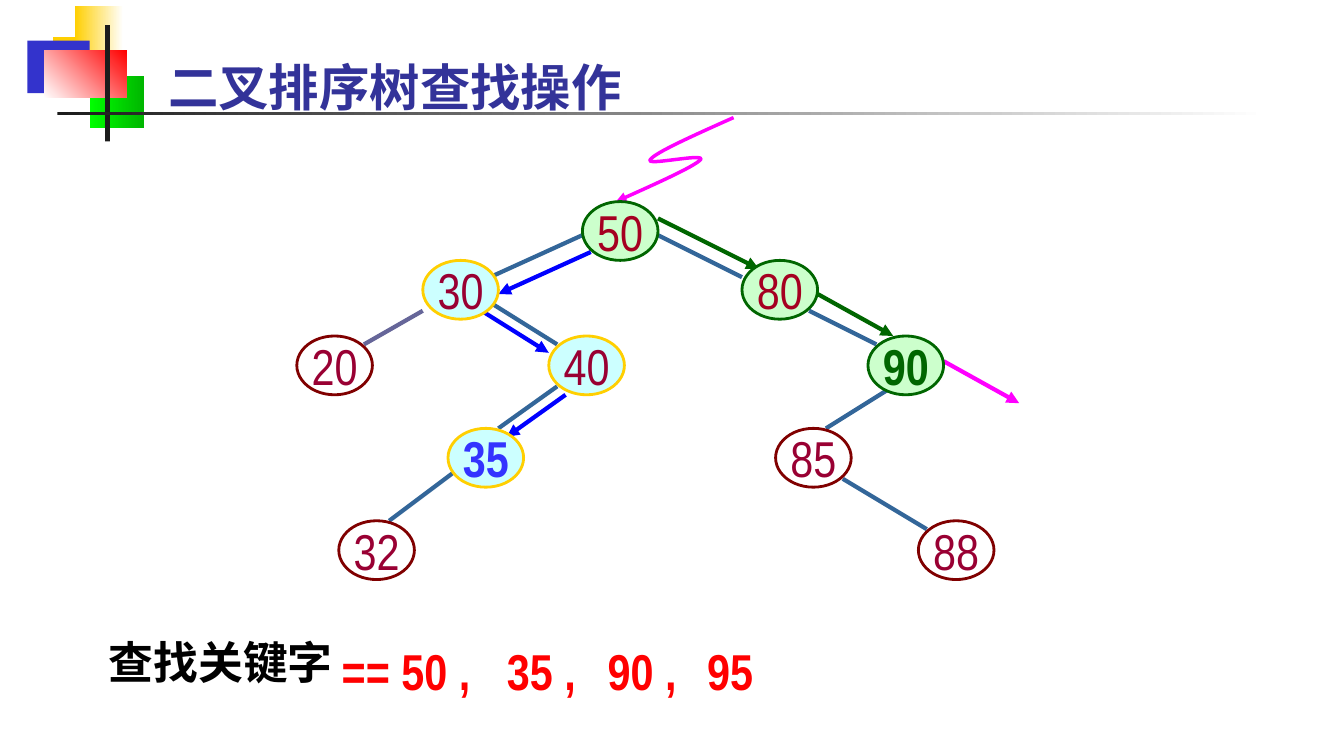
from lxml.etree import SubElement
from pptx import Presentation
from pptx.dml.color import RGBColor
from pptx.enum.shapes import MSO_CONNECTOR, MSO_SHAPE
from pptx.enum.text import MSO_ANCHOR, MSO_AUTO_SIZE, PP_ALIGN
from pptx.oxml.ns import qn
from pptx.util import Pt

LATIN_FONT = "Arial Narrow"
CJK_FONT = "Noto Sans CJK SC"
NODE_WIDTH, NODE_HEIGHT = 54, 42

WHITE = RGBColor(0xFF, 0xFF, 0xFF)
BLACK = RGBColor(0x00, 0x00, 0x00)
CHARCOAL = RGBColor(0x1C, 0x1C, 0x1C)
GOLD = RGBColor(0xFF, 0xCF, 0x01)
ROYAL_BLUE = RGBColor(0x33, 0x33, 0xCC)
LIME = RGBColor(0x00, 0xFF, 0x00)
GREEN = RGBColor(0x00, 0xB6, 0x00)
RED = RGBColor(0xFF, 0x00, 0x00)
TITLE_BLUE = RGBColor(0x33, 0x33, 0x99)
STEEL = RGBColor(0x33, 0x66, 0x99)
SLATE = RGBColor(0x66, 0x66, 0x99)
BLUE = RGBColor(0x00, 0x00, 0xFF)
DARK_GREEN = RGBColor(0x00, 0x66, 0x00)
MAGENTA = RGBColor(0xFF, 0x00, 0xFF)
MAROON = RGBColor(0x80, 0x00, 0x00)
WINE = RGBColor(0x99, 0x00, 0x33)
BRICK = RGBColor(0xA5, 0x00, 0x21)
KEY_BLUE = RGBColor(0x33, 0x33, 0xFF)
PALE_CYAN = RGBColor(0xCC, 0xFF, 0xFF)
PALE_GREEN = RGBColor(0xCC, 0xFF, 0xCC)

# Node styles: fill, outline, text colour, bold
PLAIN = (None, MAROON, WINE, False)
LEFT_PATH = (PALE_CYAN, GOLD, WINE, False)
LEFT_FOUND = (PALE_CYAN, GOLD, KEY_BLUE, True)
RIGHT_PATH = (PALE_GREEN, DARK_GREEN, BRICK, False)
RIGHT_FOUND = (PALE_GREEN, DARK_GREEN, DARK_GREEN, True)

# Left, top, width, height, colours (two make a gradient), angle
ORNAMENTS = [
    (38, 26.5, 46, 37.5, [GOLD], 0),
    (53.5, 4.5, 34.5, 37.5, [GOLD, WHITE], 0),
    (19.5, 29, 44.5, 37.5, [ROYAL_BLUE], 0),
    (64, 54, 39, 37.5, [LIME, GREEN], 0),
    (31.5, 36, 59, 33.5, [WHITE, RED], 45),
    (75, 18, 3.5, 83, [CHARCOAL], 0),
    (41, 80, 864, 2.5, [CHARCOAL, WHITE], 0),
]
NODES = [
    ("20", 212, 240, PLAIN), ("85", 554, 306, PLAIN),
    ("88", 656, 372, PLAIN), ("32", 242, 372, PLAIN),
    ("30", 302, 186, LEFT_PATH), ("40", 392, 240, LEFT_PATH),
    ("35", 320, 306, LEFT_FOUND), ("50", 416, 144, RIGHT_PATH),
    ("80", 530, 186, RIGHT_PATH), ("90", 620, 240, RIGHT_FOUND),
]
EDGES = [
    (416, 168, 350, 198, STEEL), (302, 222, 260, 246, SLATE),
    (470, 168, 530, 198, STEEL), (350, 216, 398, 246, STEEL),
    (398, 276, 356, 306, STEEL), (578, 222, 626, 246, STEEL),
    (638, 276, 590, 306, STEEL), (602, 342, 662, 378, STEEL),
    (326, 336, 278, 372, STEEL),
]
SEARCH_STEPS = [
    (422, 180, 356, 210, BLUE), (344, 222, 392, 252, BLUE),
    (404, 282, 362, 312, BLUE), (470, 156, 542, 192, DARK_GREEN),
    (584, 210, 638, 240, DARK_GREEN), (674, 258, 728, 288, MAGENTA),
]
# Bezier pieces of the curve that enters the root
ENTRY_CURVE = [
    [(524, 84), (496, 96.5), (468, 109), (464.5, 114)],
    [(464.5, 114), (460, 119), (504, 109), (500.5, 114)],
    [(500.5, 114), (496, 119), (468, 131.5), (440, 144)],
]
SEARCH_KEYS = [("== 50 ,", 237, 107), ("35 ,", 355, 64),
               ("90 ,", 427, 64), ("95", 498, 48)]


def add_ornament(page, left, top, width, height, colours, angle):
    block = page.shapes.add_shape(MSO_SHAPE.RECTANGLE, Pt(left), Pt(top),
                                  Pt(width), Pt(height))
    block.shadow.inherit = False
    block.line.fill.background()
    if len(colours) == 1:
        block.fill.solid()
        block.fill.fore_color.rgb = colours[0]
        return
    block.fill.gradient()
    block.fill.gradient_angle = angle
    for stop, colour in zip(block.fill.gradient_stops, colours):
        stop.color.rgb = colour


def write(frame, text, size, colour, bold, font=LATIN_FONT):
    para = frame.paragraphs[0]
    span = para.add_run()
    span.text = text
    para.font.name = font
    para.font.size = Pt(size)
    para.font.bold = bold
    para.font.color.rgb = colour
    # East Asian face
    SubElement(span.font._element, qn("a:ea"), typeface=CJK_FONT)
    return para


def add_node(page, key, left, top, style):
    fill, outline, colour, bold = style
    node = page.shapes.add_shape(MSO_SHAPE.OVAL, Pt(left), Pt(top),
                                 Pt(NODE_WIDTH), Pt(NODE_HEIGHT))
    node.shadow.inherit = False
    if fill is None:
        node.fill.background()
    else:
        node.fill.solid()
        node.fill.fore_color.rgb = fill
    node.line.color.rgb = outline
    node.line.width = Pt(2)
    node.text_frame.word_wrap = False
    node.text_frame.vertical_anchor = MSO_ANCHOR.MIDDLE
    write(node.text_frame, key, 36, colour, bold).alignment = PP_ALIGN.CENTER


def add_arrowhead(shape):
    SubElement(shape.line._get_or_add_ln(), qn("a:tailEnd"), type="triangle")


def add_link(page, x1, y1, x2, y2, colour):
    link = page.shapes.add_connector(MSO_CONNECTOR.STRAIGHT, Pt(x1), Pt(y1),
                                     Pt(x2), Pt(y2))
    link.line.color.rgb = colour
    link.line.width = Pt(3)
    SubElement(link._element.spPr, qn("a:effectLst"))
    return link


def bezier_point(piece, t):
    weights = ((1 - t) ** 3, 3 * t * (1 - t) ** 2, 3 * t * t * (1 - t), t ** 3)
    return tuple(Pt(sum(w * point[axis] for w, point in zip(weights, piece)))
                 for axis in (0, 1))


def add_curve(page, pieces, colour, steps=16):
    points = [bezier_point(piece, step / steps)
              for piece in pieces for step in range(1, steps + 1)]
    start_x, start_y = pieces[0][0]
    builder = page.shapes.build_freeform(Pt(start_x), Pt(start_y))
    builder.add_line_segments(points, close=False)
    curve = builder.convert_to_shape()
    curve.shadow.inherit = False
    curve.fill.background()
    curve.line.color.rgb = colour
    curve.line.width = Pt(2.5)
    add_arrowhead(curve)


def add_label(page, text, left, top, width, height, size, colour,
              font=LATIN_FONT):
    box = page.shapes.add_textbox(Pt(left), Pt(top), Pt(width), Pt(height))
    box.text_frame.word_wrap = False
    box.text_frame.auto_size = MSO_AUTO_SIZE.SHAPE_TO_FIT_TEXT
    write(box.text_frame, text, size, colour, True, font)


def add_title(page, text):
    box = page.shapes.add_textbox(Pt(113), Pt(26.5), Pt(818), Pt(60))
    box.text_frame.word_wrap = True
    box.text_frame.vertical_anchor = MSO_ANCHOR.BOTTOM
    write(box.text_frame, text, 36, TITLE_BLUE, True)


def main():
    deck = Presentation()
    deck.slide_width, deck.slide_height = Pt(960), Pt(540)
    page = deck.slides.add_slide(deck.slide_layouts[6])

    # Heading
    for ornament in ORNAMENTS:
        add_ornament(page, *ornament)
    add_title(page, "二叉排序树查找操作")

    # Tree and search paths
    for edge in EDGES:
        add_link(page, *edge)
    add_curve(page, ENTRY_CURVE, MAGENTA)
    for step in SEARCH_STEPS:
        add_arrowhead(add_link(page, *step))
    for node in NODES:
        add_node(page, *node)

    # Keys searched for
    add_label(page, "查找关键字", 70.5, 450, 176, 46, 32, BLACK, CJK_FONT)
    for text, left, width in SEARCH_KEYS:
        add_label(page, text, left, 454, width, 51, 36, RED)

    deck.save("out.pptx")


if __name__ == "__main__":
    main()
